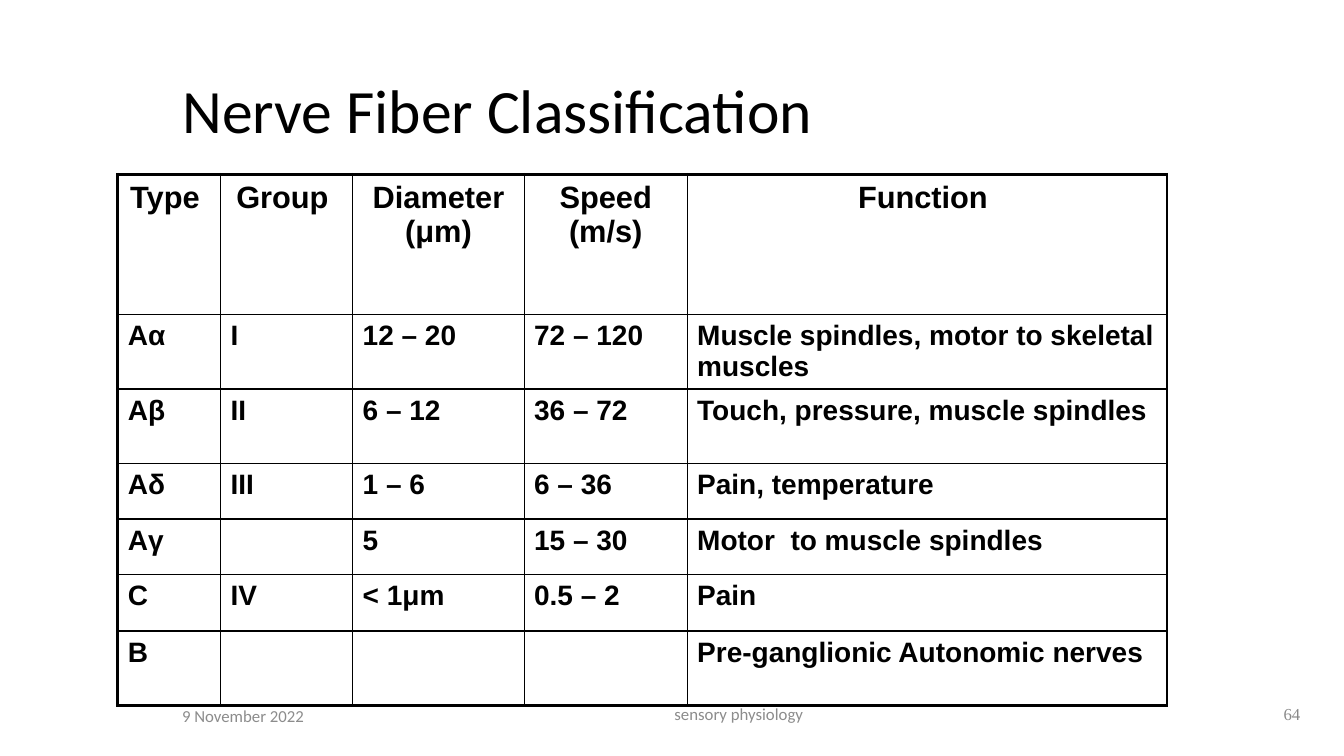
from dataclasses import dataclass

from lxml.etree import SubElement
from pptx import Presentation
from pptx.dml.color import RGBColor
from pptx.enum.text import MSO_ANCHOR, MSO_AUTO_SIZE, PP_ALIGN
from pptx.oxml.ns import qn
from pptx.util import Cm, Pt


@dataclass(frozen=True)
class Theme:
    ink: str = "000000"
    muted: str = "8C8C8C"
    number: str = "898989"
    heading_font: str = "Calibri"
    table_font: str = "Arial"
    number_font: str = "Times New Roman"
    title_size: int = 44
    header_size: int = 22
    cell_size: int = 20
    footer_size: int = 12
    outer_line: float = 2.25
    inner_line: float = 1


THEME = Theme()

COLUMN_WIDTHS = (2.59, 3.33, 4.32, 4.11, 12.09)
ROW_HEIGHTS = (3.53, 1.88, 1.88, 1.4, 1.4, 1.42, 1.88)
FIBERS = (
    ("Type ", "Group ", "Diameter (μm)", "Speed (m/s)", "Function "),
    ("Aα", "I", "12 – 20", "72 – 120", "Muscle spindles, motor to skeletal muscles"),
    ("Aβ", "II", "6 – 12", "36 – 72", "Touch, pressure, muscle spindles"),
    ("Aδ", "III", "1 – 6", "6 – 36", "Pain, temperature"),
    ("Aγ", "", "5", "15 – 30", "Motor  to muscle spindles"),
    ("C", "IV", "< 1μm", "0.5 – 2", "Pain"),
    ("B", "", "", "", "Pre-ganglionic Autonomic nerves"),
)


def add_run(p, text, font, size, color, bold=False):
    r = p.add_run()
    r.text = text
    r.font.name = font
    r.font.size = Pt(size)
    r.font.bold = bold
    r.font.color.rgb = RGBColor.from_string(color)


def add_title(s, text):
    sp = s.shapes.title
    sp.left, sp.top, sp.width, sp.height = Cm(4.34), Cm(1.27), Cm(28.78), Cm(3.18)
    tf = sp.text_frame
    tf.auto_size = MSO_AUTO_SIZE.NONE
    tf.vertical_anchor = MSO_ANCHOR.MIDDLE
    p = tf.paragraphs[0]
    p.alignment = PP_ALIGN.LEFT
    p.line_spacing = 0.9
    add_run(p, text, THEME.heading_font, THEME.title_size, THEME.ink)


def set_borders(cell, outer_sides):
    tcPr = cell._tc.get_or_add_tcPr()
    for side in "LRTB":
        width = THEME.outer_line if side in outer_sides else THEME.inner_line
        ln = SubElement(tcPr, qn(f"a:ln{side}"), w=str(Pt(width)))
        fill = SubElement(ln, qn("a:solidFill"))
        SubElement(fill, qn("a:srgbClr"), val=THEME.ink)


def fill_cell(cell, text, is_header, outer_sides):
    set_borders(cell, outer_sides)
    cell.fill.background()
    cell.margin_left = cell.margin_right = Cm(0.25)
    cell.margin_top = cell.margin_bottom = Cm(0.15)
    if text:
        p = cell.text_frame.paragraphs[0]
        p.alignment = PP_ALIGN.CENTER if is_header else PP_ALIGN.LEFT
        size = THEME.header_size if is_header else THEME.cell_size
        add_run(p, text, THEME.table_font, size, THEME.ink, bold=True)


def add_fiber_table(s):
    row_count, column_count = len(FIBERS), len(COLUMN_WIDTHS)
    frame = s.shapes.add_table(row_count, column_count, Cm(2.97), Cm(4.39),
                               Cm(sum(COLUMN_WIDTHS)), Cm(sum(ROW_HEIGHTS)))
    table = frame.table
    table.first_row = table.horz_banding = False
    for column, width in zip(table.columns, COLUMN_WIDTHS):
        column.width = Cm(width)
    for row, height in zip(table.rows, ROW_HEIGHTS):
        row.height = Cm(height)
    for i, fiber in enumerate(FIBERS):
        for j, text in enumerate(fiber):
            edges = {"L": j == 0, "R": j == column_count - 1,
                     "T": i == 0, "B": i == row_count - 1}
            outer_sides = [side for side, is_outer in edges.items() if is_outer]
            fill_cell(table.cell(i, j), text, i == 0, outer_sides)


def add_footer(s, text, left, top, width, alignment, font, color):
    sp = s.shapes.add_textbox(Cm(left), Cm(top), Cm(width), Cm(1.27))
    tf = sp.text_frame
    tf.word_wrap = True
    tf.vertical_anchor = MSO_ANCHOR.MIDDLE
    p = tf.paragraphs[0]
    p.alignment = alignment
    add_run(p, text, font, THEME.footer_size, color)


def main():
    prs = Presentation()
    prs.slide_width, prs.slide_height = Cm(33.87), Cm(19.05)
    s = prs.slides.add_slide(prs.slide_layouts[5])
    add_title(s, "Nerve Fiber Classification")
    add_fiber_table(s)
    add_footer(s, "9 November 2022", 4.34, 17.4, 7.06, PP_ALIGN.LEFT,
               THEME.heading_font, THEME.muted)
    add_footer(s, "sensory physiology", 13.26, 17.35, 10.72, PP_ALIGN.CENTER,
               THEME.heading_font, THEME.muted)
    add_footer(s, "64", 25.96, 17.35, 7.06, PP_ALIGN.RIGHT,
               THEME.number_font, THEME.number)
    prs.save("out.pptx")


if __name__ == "__main__":
    main()
